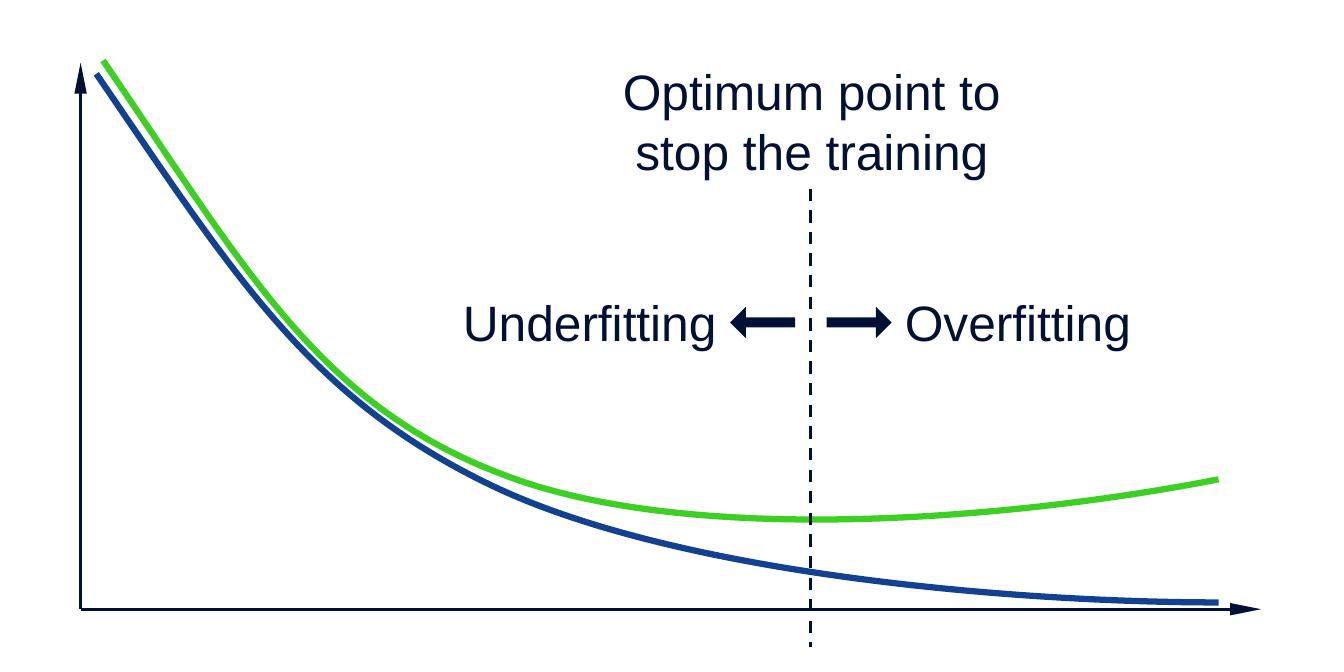
import pptx
import pptx.dml.color
import pptx.enum.dml
import pptx.enum.shapes
import pptx.enum.text
import pptx.oxml
import pptx.oxml.ns
import pptx.util
from pptx.util import Inches

ALIGN = pptx.enum.text.PP_ALIGN
SHAPE = pptx.enum.shapes.MSO_SHAPE
NAVY, BLUE, GREEN, WHITE = "001135", "124191", "3BD022", "FFFFFF"


def paint(item, color):
    """Give a fill or a line a solid hex colour."""
    item.fill.solid()
    item.fill.fore_color.rgb = pptx.dml.color.RGBColor.from_string(color)


def element(tag, attrs=""):
    """Make an empty drawing element."""
    names = pptx.oxml.ns.nsdecls("a")
    return pptx.oxml.parse_xml(f"<a:{tag} {names} {attrs}/>")


def bend(outline):
    """Turn each three straight segments into one cubic curve."""
    lines = outline.findall(pptx.oxml.ns.qn("a:lnTo"))
    for i in range(0, len(lines), 3):
        cubic = element("cubicBezTo")
        lines[i].addprevious(cubic)
        for line in lines[i:i + 3]:
            cubic.append(line[0])
            outline.remove(line)


class Chart:
    """Holds the slide and its text style."""

    def __init__(self, slide, font="Arial", size=16, ink=NAVY):
        self.shapes = slide.shapes
        self.font, self.size, self.ink = font, size, ink

    def line(self, start, end, arrow=False, dash=False):
        line = self.shapes.add_connector(
            pptx.enum.shapes.MSO_CONNECTOR.STRAIGHT,
            *map(Inches, start + end))
        paint(line.line, self.ink)
        line.line.width = pptx.util.Pt(1)
        if dash:
            line.line.dash_style = pptx.enum.dml.MSO_LINE.DASH
        props = line._element.spPr
        if arrow:
            props.find(pptx.oxml.ns.qn("a:ln")).append(
                element("tailEnd", 'type="triangle" w="sm" len="lg"'))
        props.append(element("effectLst"))

    def curve(self, points, height, color):
        """Draw cubic curves from a start, then two controls and an end each."""
        start, *rest = [tuple(map(Inches, point)) for point in points]
        pen = self.shapes.build_freeform(*start)
        pen.add_line_segments(rest, close=False)
        curve = pen.convert_to_shape()
        outline = next(curve._element.iter(pptx.oxml.ns.qn("a:path")))
        bend(outline)
        curve.height = Inches(height)
        outline.set("h", str(curve.height))
        curve.shadow.inherit = False
        curve.fill.background()
        paint(curve.line, color)
        curve.line.width = pptx.util.Pt(2)

    def label(self, text, box, align):
        label = self.shapes.add_textbox(*map(Inches, box))
        paint(label, WHITE)
        frame = label.text_frame
        frame.word_wrap = True
        frame.vertical_anchor = pptx.enum.text.MSO_ANCHOR.MIDDLE
        frame.margin_left = frame.margin_right = 0
        frame.margin_top = frame.margin_bottom = 0
        para = frame.paragraphs[0]
        para.text = text
        para.alignment = align
        para.space_after = pptx.util.Pt(3)
        para.font.name = self.font
        para.font.size = pptx.util.Pt(self.size)
        para.font.color.rgb = pptx.dml.color.RGBColor.from_string(self.ink)
        return label

    def arrow(self, kind, box):
        arrow = self.shapes.add_shape(kind, *map(Inches, box))
        arrow.shadow.inherit = False
        arrow.adjustments[0] = 0.315
        paint(arrow, self.ink)
        arrow.line.fill.background()
        return arrow

    def side(self, text, left, align, kind, tip):
        """Group a label with the arrow that points at it."""
        self.shapes.add_group_shape([
            self.label(text, (left, 1.29, 1.24, 0.29), align),
            self.arrow(kind, (tip, 1.37, 0.29, 0.14))])


def main():
    deck = pptx.Presentation()
    deck.slide_width, deck.slide_height = Inches(6), Inches(3)
    chart = Chart(deck.slides.add_slide(deck.slide_layouts[6]))

    origin = (0.36, 2.72)
    chart.line(origin, (5.63, 2.72), arrow=True)
    chart.line(origin, (0.36, 0.28), arrow=True)

    chart.curve([(0.43, 0.33),
                 (1.06, 1.25), (1.39, 1.79), (2.22, 2.18),
                 (3.06, 2.57), (4.55, 2.69), (5.44, 2.69)], 2.36, BLUE)
    chart.curve([(0.46, 0.27),
                 (1.09, 1.19), (1.42, 1.81), (2.25, 2.12),
                 (3.08, 2.44), (4.52, 2.32), (5.44, 2.14)], 2.05, GREEN)

    chart.line((3.62, 0.36), (3.62, 2.89), dash=True)
    chart.label("Optimum point to stop the training",
                (2.55, 0.27, 2.15, 0.54), ALIGN.CENTER)
    chart.side("Overfitting", 4.04, ALIGN.LEFT, SHAPE.RIGHT_ARROW, 3.69)
    chart.side("Underfitting", 1.96, ALIGN.RIGHT, SHAPE.LEFT_ARROW, 3.26)

    deck.save("out.pptx")


if __name__ == "__main__":
    main()
